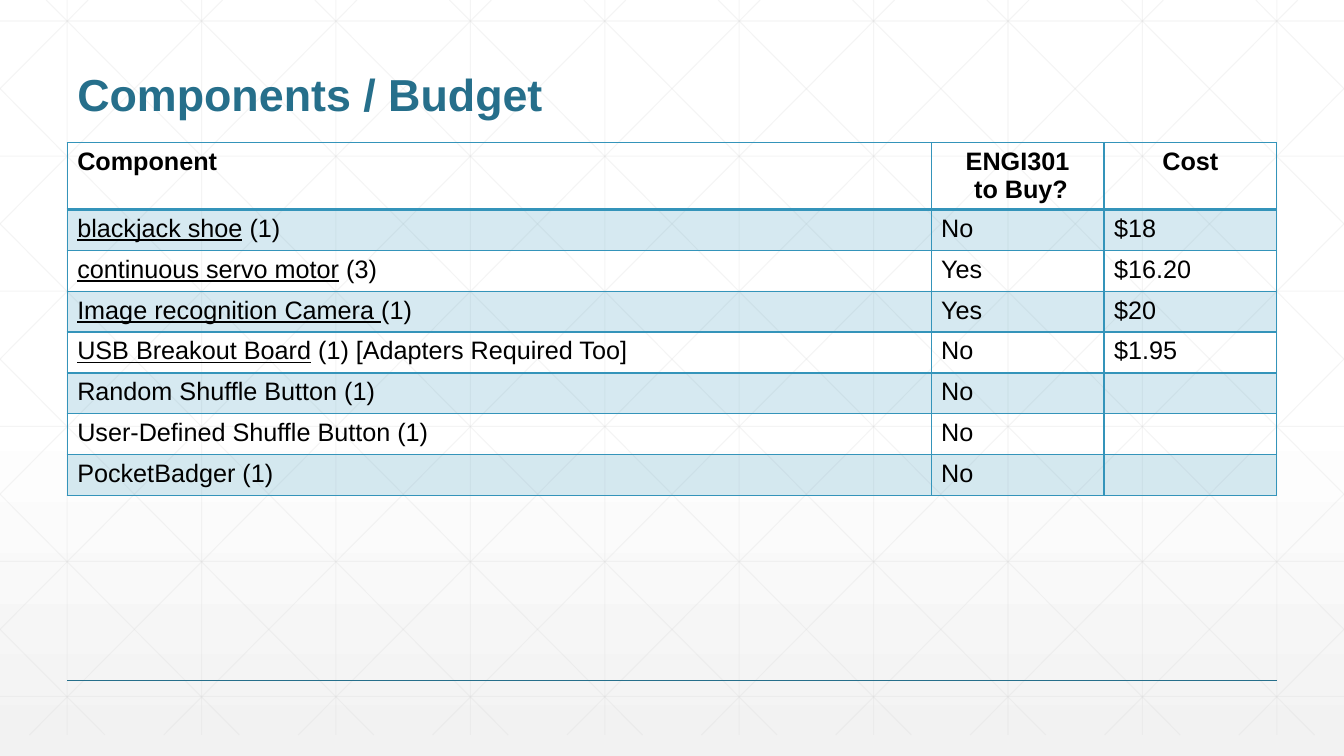
import pptx
import pptx.util
import pptx.dml.color
import pptx.enum.shapes
import pptx.enum.text
import pptx.oxml
import pptx.oxml.ns
import copy
import lxml.etree

Pt = pptx.util.Pt
qn = pptx.oxml.ns.qn
ALIGN = pptx.enum.text.PP_ALIGN
ANCHOR = pptx.enum.text.MSO_ANCHOR
TEAL, DEEP, GRAY, BLACK = "3494BA", "266F8B", "D8D8D8", "000000"
HEADS = ["Component", "ENGI301\n to Buy?", "Cost"]
ITEMS = [
    ("blackjack shoe", " (1)", "No", "$18"),
    ("continuous servo motor", " (3)", "Yes", "$16.20"),
    ("Image recognition Camera ", "(1)", "Yes", "$20"),
    ("USB Breakout Board", " (1) [Adapters Required Too]", "No", "$1.95"),
    ("", "Random Shuffle Button (1)", "No", ""),
    ("", "User-Defined Shuffle Button (1)", "No", ""),
    ("", "PocketBadger (1)", "No", ""),
]


def hue(code):
    return pptx.dml.color.RGBColor.from_string(code)


def apply(item, form):
    for key, val in form.items():
        setattr(item, key, val)


def fade(node, part):
    tint = node.find(".//" + qn("a:srgbClr"))
    lxml.etree.SubElement(tint, qn("a:alpha"), val=str(part * 1000))


def write(para, text, **form):
    run = para.add_run()
    run.text = text
    apply(run.font, {"name": "Arial", "size": Pt(18), "bold": False, **form})
    run.font.color.rgb = hue(form.pop("tint", BLACK))


def stroke(shapes, ends, code, width, part=100):
    line = shapes.add_connector(
        pptx.enum.shapes.MSO_CONNECTOR.STRAIGHT, *[Pt(round(end, 2)) for end in ends])
    line.line.color.rgb = hue(code)
    line.line.width = Pt(width)
    props = line._element.spPr
    if part < 100:
        fade(props, part)
    lxml.etree.SubElement(props, qn("a:effectLst"))


def ground(slide):
    fill = slide.background.fill
    fill.gradient()
    fill.gradient_angle = 270
    for stop, code, place in zip(fill.gradient_stops, ("FFFFFF", "F2F2F2"), (0, 1)):
        stop.color.rgb = hue(code)
        stop.position = place
    stops = slide._element.find(".//" + qn("a:gsLst"))
    middle = copy.deepcopy(stops[0])
    middle.set("pos", "53000")
    stops.insert(1, middle)


def grid(slide, box):
    left, top, width, height = box
    right, base, step, reach = left + width, top + height, 96, 522
    ends = [(left + 48 + step * i, top, left + 48 + step * i, base) for i in range(10)]
    ends += [(left, top + 15 + 96.5 * i, right, top + 15 + 96.5 * i) for i in range(6)]
    for i in range(-5, 10):
        start = left + 33 + step * i
        near, far = max(start, left), min(start + reach, right)
        high, low = [top + (x - start) * height / reach for x in (near, far)]
        ends.append((near, high, far, low))
        ends.append((left + right - near, high, left + right - far, low))
    group = slide.shapes.add_group_shape()
    for line in ends:
        stroke(group.shapes, line, GRAY, 0.75, 25)


def head(slide, box):
    title = slide.shapes.title
    title._element.getparent().append(title._element)
    apply(title, dict(zip(("left", "top", "width", "height"), map(Pt, box))))
    frame = title.text_frame
    apply(frame, {"word_wrap": True, "vertical_anchor": ANCHOR.BOTTOM,
                  "auto_size": pptx.enum.text.MSO_AUTO_SIZE.NONE})
    para = frame.paragraphs[0]
    apply(para, {"alignment": ALIGN.LEFT, "line_spacing": 0.9})
    write(para, "Components / Budget", size=Pt(32), bold=True, tint=DEEP)


def edge(cell, row):
    props = cell._tc.get_or_add_tcPr()
    for side in "LRTB":
        thick = (row, side) in ((0, "B"), (1, "T"))
        line = lxml.etree.SubElement(
            props, qn("a:ln" + side), w=str(Pt(2 if thick else 1)))
        solid = lxml.etree.SubElement(line, qn("a:solidFill"))
        lxml.etree.SubElement(solid, qn("a:srgbClr"), val=TEAL)


def shade(cell, row):
    if row % 2:
        cell.fill.solid()
        cell.fill.fore_color.rgb = hue(TEAL)
        fade(cell._tc.tcPr.find(qn("a:solidFill")), 20)
    else:
        cell.fill.background()


def budget(slide, box):
    left, top, width, height = box
    crown = 47.6
    table = slide.shapes.add_table(
        len(ITEMS) + 1, len(HEADS), *map(Pt, box)).table
    apply(table, {"first_row": False, "horz_banding": False})
    for col, share in zip(table.columns, (5, 1, 1)):
        col.width = Pt(round(width * share / 7, 2))
    for i, row in enumerate(table.rows):
        row.height = Pt(round((height - crown) / len(ITEMS), 2) if i else crown)
        for cell in row.cells:
            edge(cell, i)
            shade(cell, i)
    for j, text in enumerate(HEADS):
        frame = table.cell(0, j).text_frame
        for k, part in enumerate(text.split("\n")):
            para = frame.add_paragraph() if k else frame.paragraphs[0]
            para.alignment = ALIGN.CENTER if j else ALIGN.LEFT
            write(para, part, bold=True)
    for i, (name, rest, buy, cost) in enumerate(ITEMS, 1):
        parts = [[(name, True), (rest, False)], [(buy, False)], [(cost, False)]]
        for j, runs in enumerate(parts):
            para = table.cell(i, j).text_frame.paragraphs[0]
            para.font.size = Pt(18)
            for text, under in runs:
                if text:
                    write(para, text, underline=under)


def foot(slide, box):
    left, top, width, height = box
    stroke(slide.shapes, (left, top, left + width, top + height), DEEP, 1)


def main():
    deck = pptx.Presentation()
    apply(deck, {"slide_width": Pt(960), "slide_height": Pt(540)})
    slide = deck.slides.add_slide(deck.slide_layouts[5])
    ground(slide)
    grid(slide, (0, 0, 960, 525))
    foot(slide, (48, 486, 864, 0))
    head(slide, (48, 18, 864, 72))
    budget(slide, (48, 102, 864, 252))
    deck.save("out.pptx")


if __name__ == "__main__":
    main()
